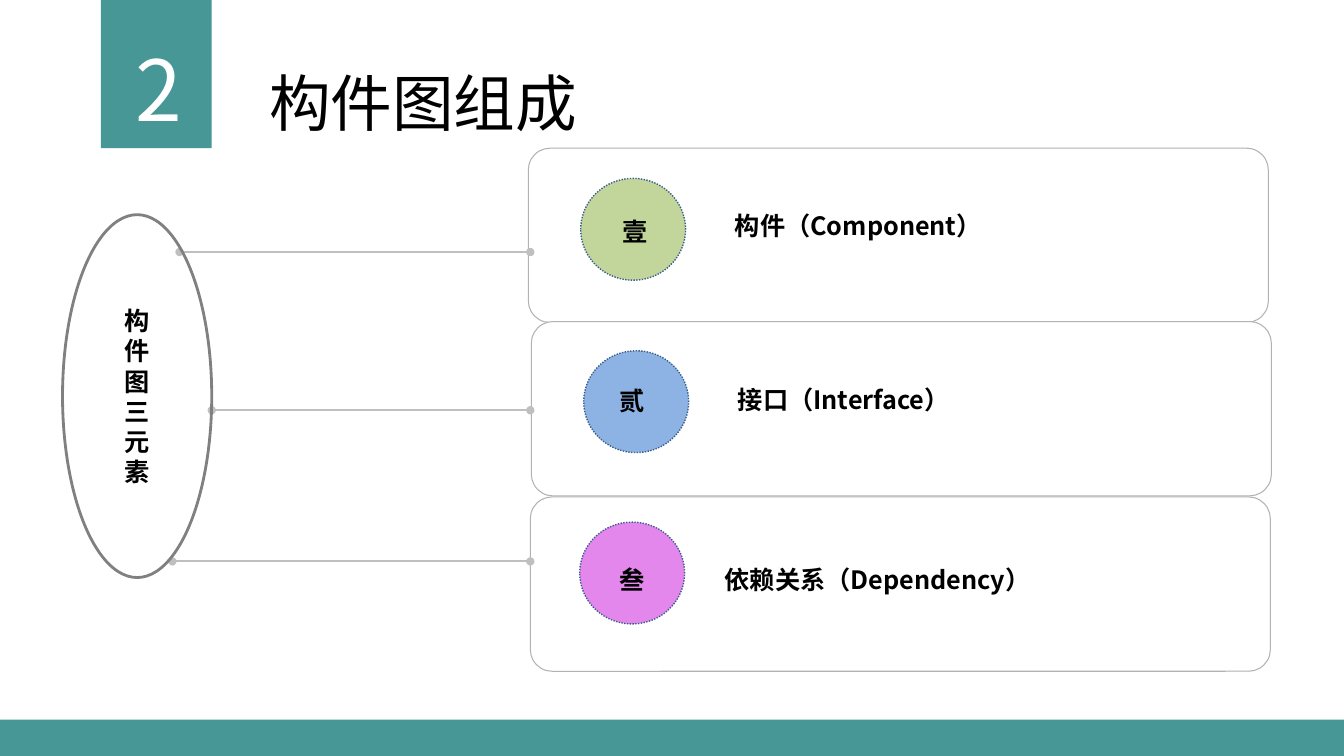
from dataclasses import dataclass

from lxml import etree
from pptx import Presentation
from pptx import util as u
from pptx.dml.color import RGBColor
from pptx.enum import dml, shapes, text
from pptx.oxml.ns import qn

PX = 9144  # 100 px to the inch
TEAL, WHITE, BLACK = "479796", "FFFFFF", "000000"
SANS = "Noto Sans CJK SC"
SHAPE = shapes.MSO_SHAPE
ALIGN = text.PP_ALIGN


@dataclass(frozen=True)
class Box:
    left: int
    top: int
    width: int
    height: int

    def emu(self) -> list[int]:
        return [n * PX for n in (self.left, self.top, self.width, self.height)]


@dataclass(frozen=True)
class Outline:
    color: str
    points: float
    dotted: bool = False


@dataclass(frozen=True)
class Card:
    left: int
    top: int
    circle: tuple[int, int]
    numeral_at: tuple[int, int]
    label_at: tuple[int, int]
    fill: str
    numeral: str
    label: str


@dataclass(frozen=True)
class Link:
    start: int
    y: int


CARDS = [
    Card(524, 147, (576, 177), (608, 210), (719, 204), "C2D59B", "壹", "构件（Component）"),
    Card(527, 319, (579, 348), (605, 377), (722, 376), "8CB3E3", "贰", "接口（Interface）"),
    Card(526, 493, (575, 518), (605, 555), (709, 555), "E387ED", "叁", "依赖关系（Dependency）"),
]
LINKS = [Link(178, 250), Link(210, 407), Link(171, 557)]
LINK_END = 526


def rgb(color: str) -> RGBColor:
    return RGBColor.from_string(color)


def add_block(slide, kind, box: Box, fill: str | None = None,
              outline: Outline | None = None):
    shape = slide.shapes.add_shape(kind, *box.emu())
    shape.shadow.inherit = False
    if fill:
        shape.fill.solid()
        shape.fill.fore_color.rgb = rgb(fill)
    else:
        shape.fill.background()
    if outline:
        shape.line.color.rgb = rgb(outline.color)
        shape.line.width = u.Pt(outline.points)
        if outline.dotted:
            shape.line.dash_style = dml.MSO_LINE.ROUND_DOT
    else:
        shape.line.fill.background()
    return shape


def write(frame, lines: str, size: int, font: str = SANS, color: str = BLACK,
          bold: bool = False, align=ALIGN.LEFT) -> None:
    frame.text = lines
    for paragraph in frame.paragraphs:
        paragraph.alignment = align
        paragraph.font.size = u.Pt(size)
        paragraph.font.bold = bold
        paragraph.font.color.rgb = rgb(color)
        paragraph.font.name = font
        # Chinese characters take the East Asian typeface
        defaults = paragraph._p.pPr.find(qn("a:defRPr"))
        etree.SubElement(defaults, qn("a:ea"), typeface=font)


def add_text(slide, box: Box, words: str, size: int, wrap: bool = True, **style) -> None:
    frame = slide.shapes.add_textbox(*box.emu()).text_frame
    frame.word_wrap = wrap
    write(frame, words, size, **style)


def add_card(slide, card: Card) -> None:
    panel = add_block(slide, SHAPE.ROUNDED_RECTANGLE, Box(card.left, card.top, 734, 173),
                      WHITE, Outline("B2B2B2", 0.75))
    panel.adjustments[0] = 0.125
    add_block(slide, SHAPE.OVAL, Box(*card.circle, 104, 101), card.fill,
              Outline("395E8A", 1, dotted=True))
    add_text(slide, Box(*card.numeral_at, 46, 40), card.numeral, 18, wrap=False, bold=True)
    add_text(slide, Box(*card.label_at, 523, 40), card.label, 18, bold=True,
             align=ALIGN.JUSTIFY)


def add_link(slide, link: Link) -> None:
    connector = slide.shapes.add_connector(
        shapes.MSO_CONNECTOR.STRAIGHT,
        link.start * PX, link.y * PX, LINK_END * PX, link.y * PX)
    connector.line.color.rgb = rgb("BFBFBF")
    connector.line.width = u.Pt(1.5)
    line = connector.line._get_or_add_ln()
    for end in ("a:headEnd", "a:tailEnd"):
        etree.SubElement(line, qn(end), type="oval")
    etree.SubElement(connector._element.spPr, qn("a:effectLst"))


def main() -> None:
    presentation = Presentation()
    presentation.slide_width, presentation.slide_height = 1333 * PX, 750 * PX
    slide = presentation.slides.add_slide(presentation.slide_layouts[6])

    # Heading and footer band
    add_block(slide, SHAPE.RECTANGLE, Box(100, 0, 110, 147), TEAL)
    add_text(slide, Box(103, 32, 110, 111), "2", 60, font="Noto Sans CJK KR",
             color=WHITE, align=ALIGN.CENTER)
    add_text(slide, Box(257, 59, 693, 84), "构件图组成", 44)
    add_block(slide, SHAPE.RECTANGLE, Box(0, 714, 1333, 36), TEAL)

    # The three elements and their links
    for card in CARDS:
        add_card(slide, card)
    for link in LINKS:
        add_link(slide, link)

    # Hub, one character to a line
    hub = add_block(slide, SHAPE.OVAL, Box(62, 213, 148, 360), outline=Outline("808080", 2))
    hub.text_frame.vertical_anchor = text.MSO_ANCHOR.MIDDLE
    write(hub.text_frame, "\n".join("构件图三元素"), 18, font="Calibri", bold=True,
          align=ALIGN.CENTER)

    presentation.save("out.pptx")


if __name__ == "__main__":
    main()
